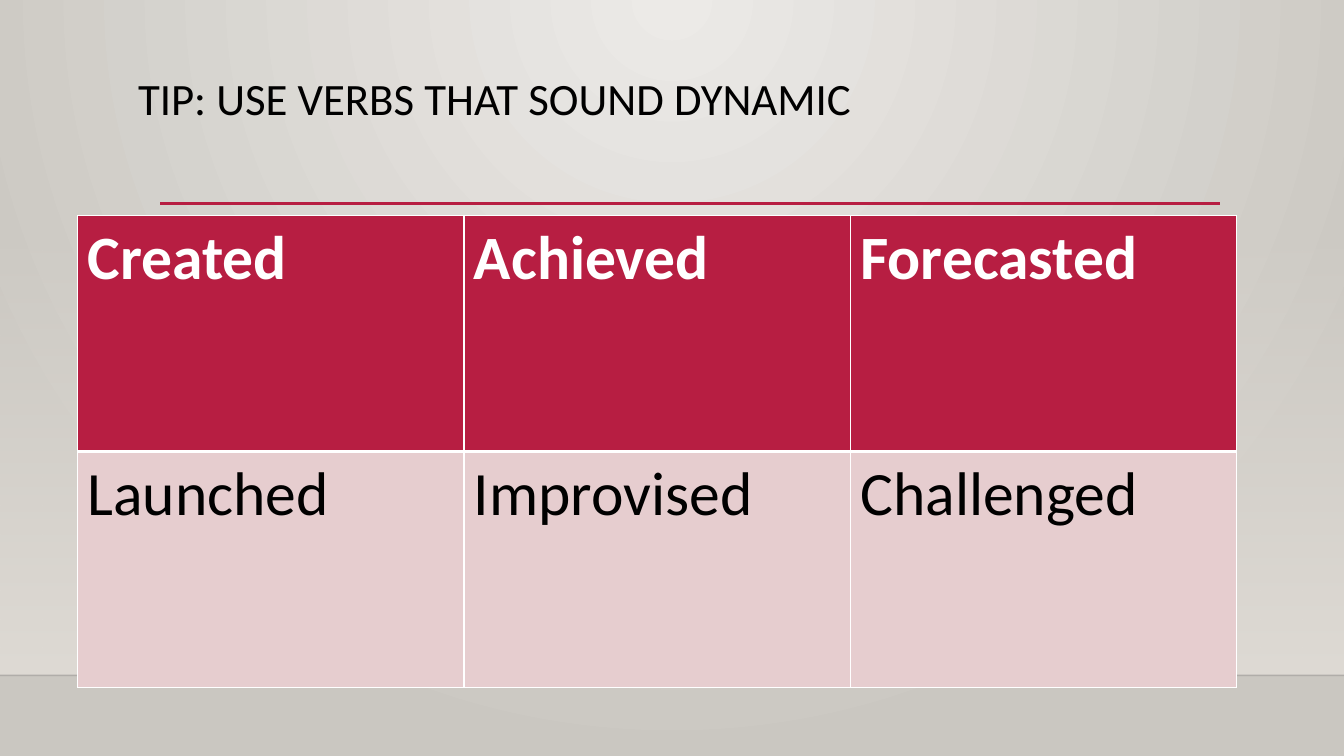
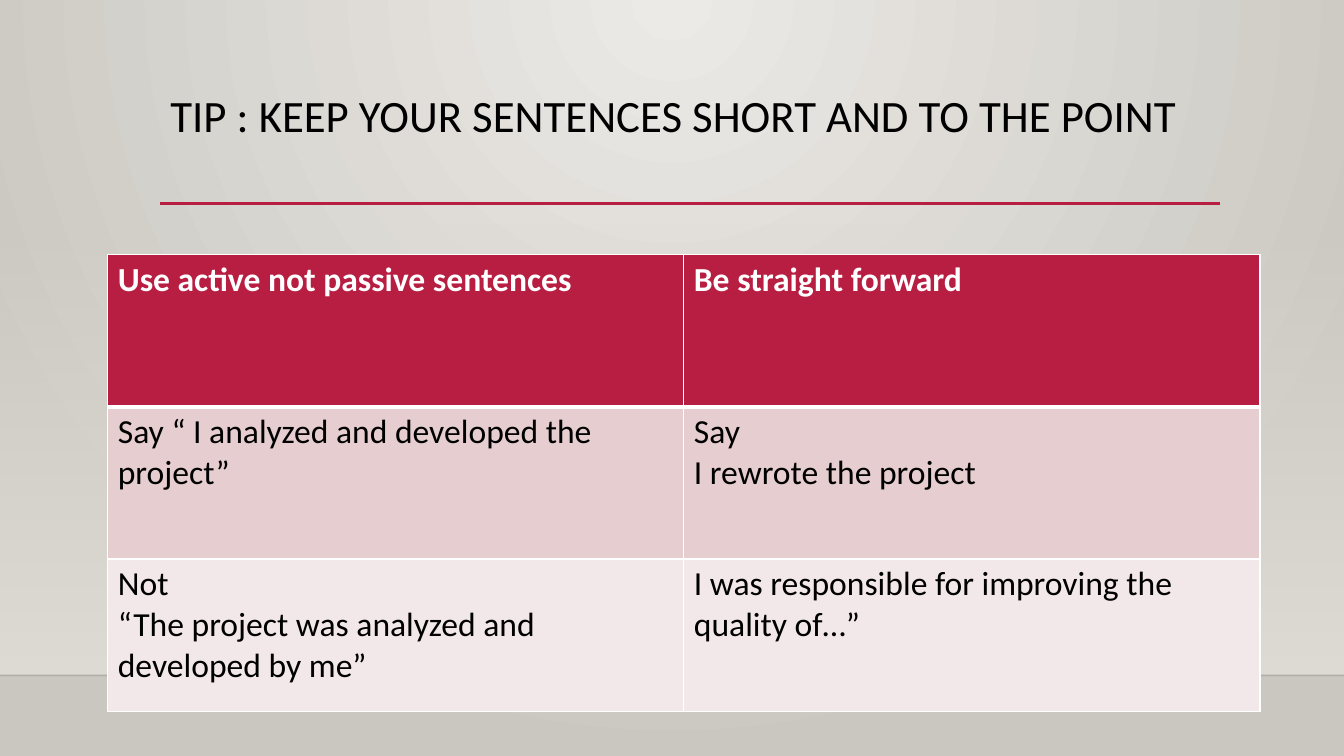
from lxml.etree import SubElement
from pptx import Presentation
from pptx.dml.color import RGBColor
from pptx.enum.shapes import MSO_CONNECTOR, MSO_SHAPE
from pptx.enum.text import MSO_ANCHOR, MSO_AUTO_SIZE, PP_ALIGN
from pptx.oxml import parse_xml
from pptx.oxml.ns import nsdecls, qn
from pptx.util import Pt

FONT = "Calibri"
BLACK = RGBColor(0x00, 0x00, 0x00)
WHITE = RGBColor(0xFF, 0xFF, 0xFF)
CRIMSON = RGBColor(0xB7, 0x1E, 0x42)
ROSE = RGBColor(0xE6, 0xCD, 0xCF)
PALE_ROSE = RGBColor(0xF3, 0xE8, 0xE9)
GLOW = RGBColor(0xEC, 0xEA, 0xE7)
STONE = RGBColor(0xCA, 0xC7, 0xC1)
SAND = RGBColor(0xDF, 0xDB, 0xD5)
HORIZON = RGBColor(0x00, 0x00, 0x01)

PAGE_WIDTH, PAGE_HEIGHT = 960, 540
WALL_TOP, FLOOR_TOP = 159, 482.4
RULE_LEFT, RULE_RIGHT, RULE_TOP = 114.5, 871.2, 145.4


def set_gradient(fill, start, end):
    fill.gradient()
    for stop, color in zip(fill.gradient_stops, (start, end)):
        stop.color.rgb = color


def set_opacity(color_element, percent):
    SubElement(color_element, qn("a:alpha")).set("val", str(percent * 1000))


class TipDeck:
    def __init__(self):
        self.deck = Presentation()
        self.deck.slide_width = Pt(PAGE_WIDTH)
        self.deck.slide_height = Pt(PAGE_HEIGHT)
        self.page = None
        self.set_background()

    def set_background(self):
        """Radial glow from the top centre, shared through the master."""
        master = self.deck.slide_master
        set_gradient(master.background.fill, GLOW, STONE)
        linear = master._element.xpath(".//p:bg//a:lin")[0]
        linear.getparent().replace(linear, parse_xml(
            f'<a:path {nsdecls("a")} path="circle">'
            '<a:fillToRect l="43000" t="0" r="43000" b="100000"/></a:path>'))

    def add_page(self, title, left, top, width, height):
        self.page = self.deck.slides.add_slide(self.deck.slide_layouts[5])
        self.add_wall()
        horizon = self.add_line(0, PAGE_WIDTH, FLOOR_TOP, HORIZON, 1)
        set_opacity(horizon._element.xpath(".//a:ln//a:srgbClr")[0], 20)
        self.add_line(RULE_LEFT, RULE_RIGHT, RULE_TOP, CRIMSON, 2.5)
        self.add_title(title, left, top, width, height)

    def add_wall(self):
        wall = self.page.shapes.add_shape(
            MSO_SHAPE.RECTANGLE, 0, Pt(WALL_TOP),
            Pt(PAGE_WIDTH), Pt(FLOOR_TOP - WALL_TOP))
        wall.shadow.inherit = False
        wall.line.fill.background()
        set_gradient(wall.fill, SAND, SAND)
        wall.fill.gradient_angle = 270
        set_opacity(wall._element.xpath(".//a:gs/a:srgbClr")[0], 0)

    def add_line(self, left, right, top, color, weight):
        line = self.page.shapes.add_connector(
            MSO_CONNECTOR.STRAIGHT, Pt(left), Pt(top), Pt(right), Pt(top))
        line.line.color.rgb = color
        line.line.width = Pt(weight)
        SubElement(line._element.spPr, qn("a:effectLst"))
        return line

    def add_title(self, text, left, top, width, height):
        box = self.page.shapes.title
        box.left, box.top = Pt(left), Pt(top)
        box.width, box.height = Pt(width), Pt(height)
        frame = box.text_frame
        frame.auto_size = MSO_AUTO_SIZE.NONE
        frame.vertical_anchor = MSO_ANCHOR.TOP
        para = frame.paragraphs[0]
        para.alignment = PP_ALIGN.LEFT
        para.line_spacing = 0.9
        self.add_span(para, text, 32, BLACK)

    def add_span(self, para, text, size, color, bold=False):
        span = para.add_run()
        span.text = text
        span.font.name = FONT
        span.font.size = Pt(size)
        span.font.bold = bold
        span.font.color.rgb = color

    def add_table(self, rows, left, top, width, height, size):
        """Each cell text holds one paragraph per line."""
        table = self.page.shapes.add_table(
            len(rows), len(rows[0]), Pt(left), Pt(top), Pt(width), Pt(height)).table
        table.horz_banding = False
        for row_index, row in enumerate(rows):
            header = row_index == 0
            fill = CRIMSON if header else (PALE_ROSE, ROSE)[row_index % 2]
            for column_index, text in enumerate(row):
                cell = table.cell(row_index, column_index)
                cell.fill.solid()
                cell.fill.fore_color.rgb = fill
                self.add_borders(cell, top=3 if row_index == 1 else 1,
                                 bottom=3 if header else 1)
                for line_index, line in enumerate(text.split("\n")):
                    frame = cell.text_frame
                    para = frame.add_paragraph() if line_index else frame.paragraphs[0]
                    self.add_span(para, line, size, WHITE if header else BLACK, header)

    def add_borders(self, cell, top, bottom):
        properties = cell._tc.get_or_add_tcPr()
        edges = (("L", 1), ("R", 1), ("T", top), ("B", bottom))
        for position, (edge, weight) in enumerate(edges):
            properties.insert(position, parse_xml(
                f'<a:ln{edge} {nsdecls("a")} w="{Pt(weight)}"><a:solidFill>'
                f'<a:srgbClr val="{WHITE}"/></a:solidFill></a:ln{edge}>'))


def main():
    tips = TipDeck()

    # Dynamic verbs
    tips.add_page("TIP: USE VERBS THAT SOUND DYNAMIC", 91.4, 51, 756, 103)
    tips.add_table([
        ("Created", "Achieved", "Forecasted"),
        ("Launched", "Improvised", "Challenged"),
    ], 55.4, 154, 828, 337, 44)

    # Short sentences
    tips.add_page("TIP : KEEP YOUR SENTENCES SHORT AND TO THE POINT",
                  114.5, 63.4, 756, 82.8)
    tips.add_table([
        ("Use active not passive sentences", "Be straight forward"),
        ("Say “ I analyzed and developed the project”",
         "Say\nI rewrote the project"),
        ("Not\n“The project was analyzed and developed by me”",
         "I was responsible for improving the quality of…”"),
    ], 77, 182, 823, 326, 24)

    tips.deck.save("out.pptx")


if __name__ == "__main__":
    main()
